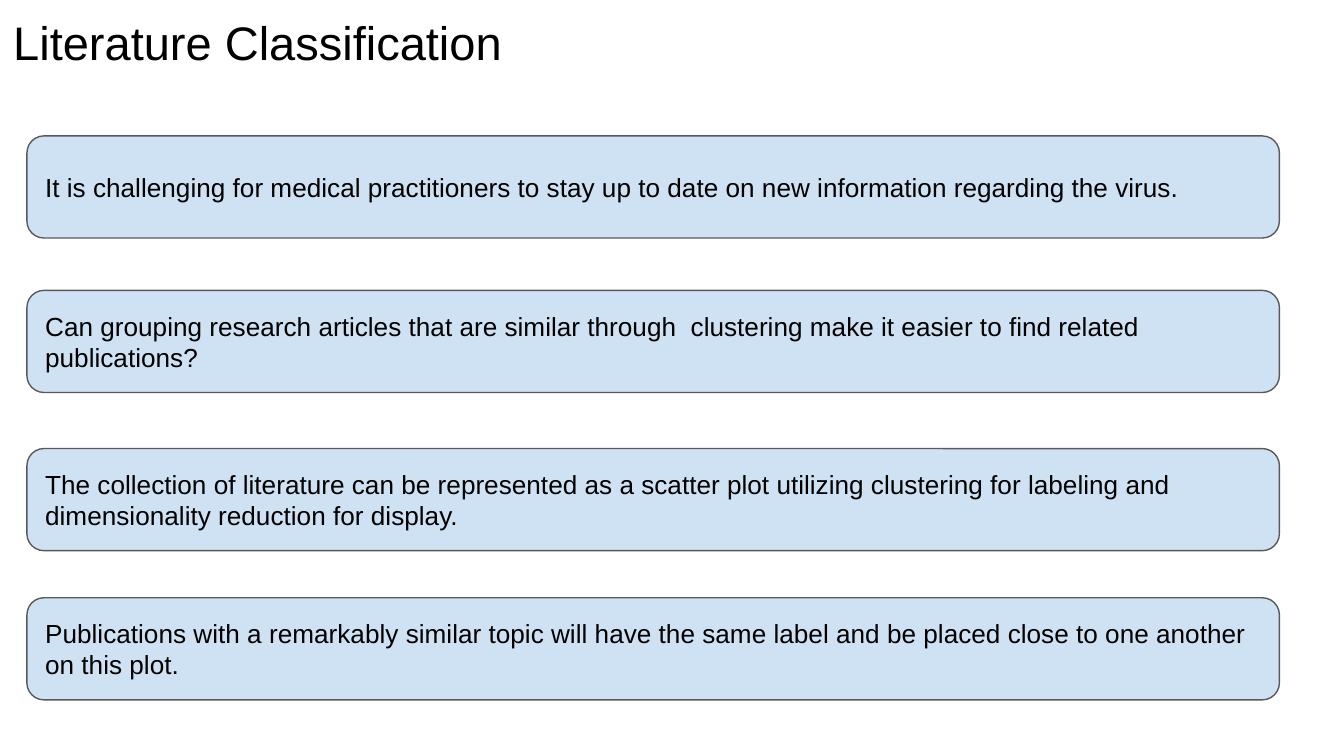
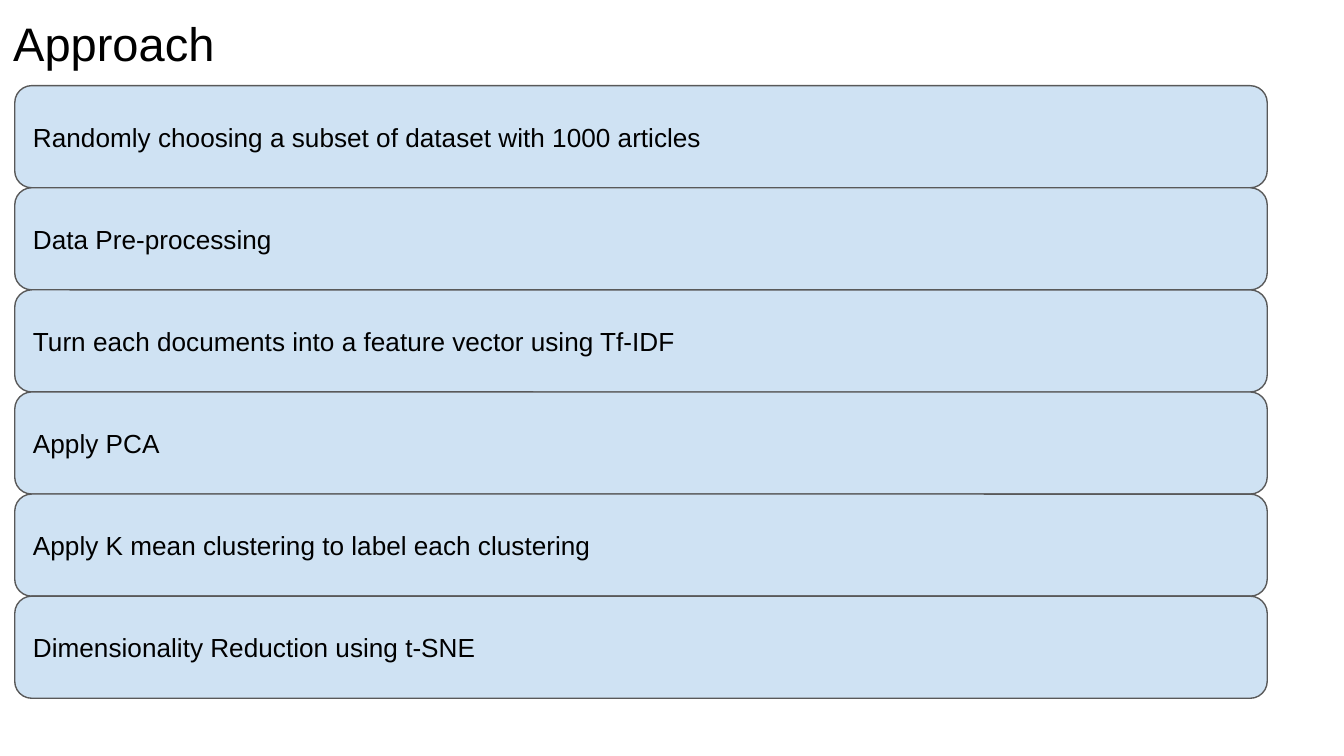
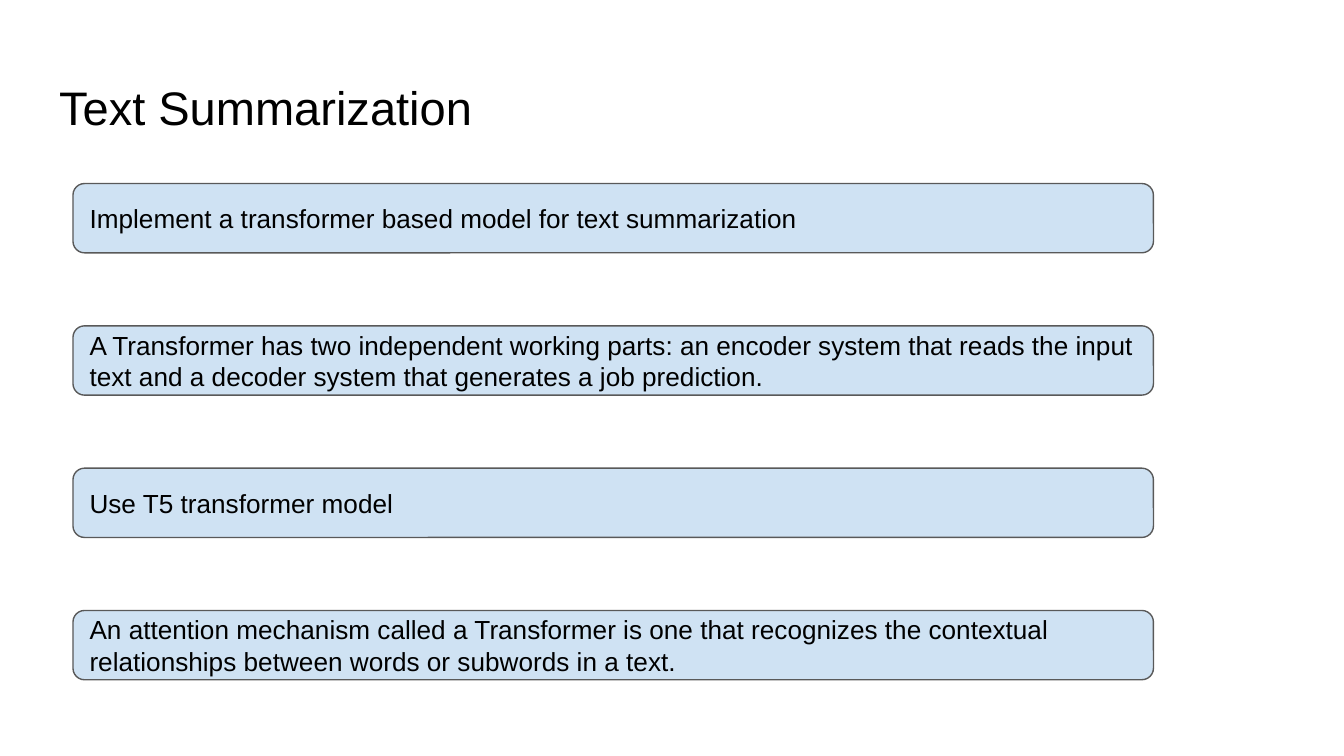
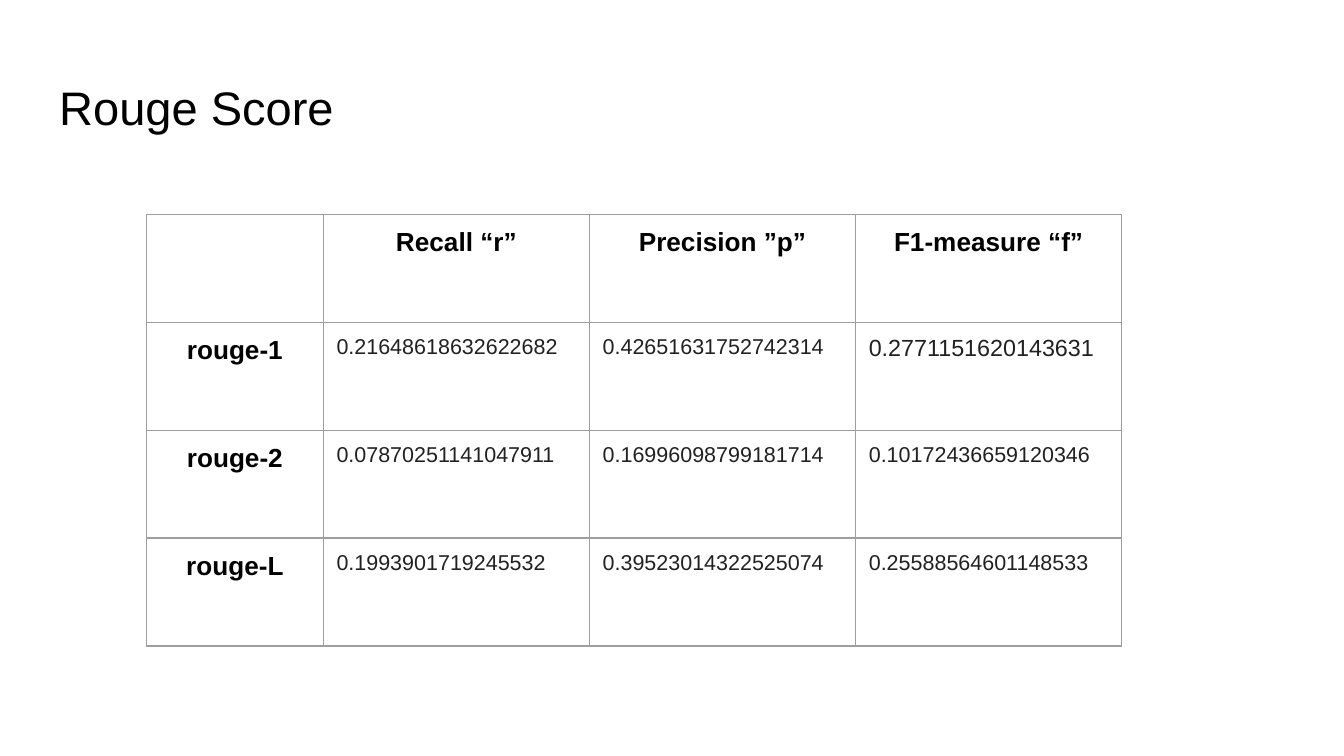
from dataclasses import dataclass

from lxml import etree
from pptx import Presentation, dml, util as u
from pptx.dml import color
from pptx.enum import shapes, text
from pptx.oxml import ns

RGB = color.RGBColor.from_string
KIND = shapes.MSO_SHAPE.ROUNDED_RECTANGLE
MID = text.MSO_ANCHOR.MIDDLE
TOP = text.MSO_ANCHOR.TOP
LEFT, CENTER, JUST = (
    text.PP_ALIGN.LEFT, text.PP_ALIGN.CENTER, text.PP_ALIGN.JUSTIFY)

CARDS = [
    {
        "title": "Literature Classification", "at": (0, 0),
        "left": 0.51, "size": (23.67, 1.93), "tops": [2.57, 5.49, 8.48, 11.3],
        "items": [
            "It is challenging for medical practitioners to stay up to date on new information regarding the virus.",
            "Can grouping research articles that are similar through  clustering make it easier to find related publications?",
            "The collection of literature can be represented as a scatter plot utilizing clustering for labeling and dimensionality reduction for display.",
            "Publications with a remarkably similar topic will have the same label and be placed close to one another on this plot.",
        ],
    },
    {
        "title": "Approach", "at": (0, 0.03),
        "left": 0.28, "size": (23.67, 1.93), "first": 1.62, "pitch": 1.93,
        "items": [
            "Randomly choosing a subset of dataset with 1000 articles",
            "Data Pre-processing",
            "Turn each documents into a feature vector using Tf-IDF",
            "Apply PCA",
            "Apply K mean clustering to label each clustering",
            "Dimensionality Reduction using t-SNE",
        ],
    },
    {
        "title": "Text Summarization", "at": (0.87, 1.24),
        "left": 1.38, "size": (20.42, 1.31), "first": 3.47, "pitch": 2.69,
        "items": [
            "Implement a transformer based model for text summarization",
            "A Transformer has two independent working parts: an encoder system that reads the input text and a decoder system that generates a job prediction.",
            "Use T5 transformer model",
            "An attention mechanism called a Transformer is one that recognizes the contextual relationships between words or subwords in a text.",
        ],
    },
]

SCORE = {
    "title": "Rouge Score", "at": (0.87, 1.24),
    "left": 2.77, "top": 4.05, "cols": [3.34, 5.03, 5.03, 5.03], "row": 2.04,
    "rows": [
        ("", "Recall “r”", "Precision ”p”", "F1-measure “f”"),
        ("rouge-1", "0.21648618632622682", "0.42651631752742314", "0.2771151620143631"),
        ("rouge-2", "0.07870251141047911", "0.16996098799181714", "0.10172436659120346"),
        ("rouge-L", "0.1993901719245532", "0.39523014322525074", "0.25588564601148533"),
    ],
    "large": (1, 3),
}


@dataclass(frozen=True)
class Theme:
    font: str = "Arial"
    ink: str = "000000"
    value: str = "212121"
    fill: str = "CFE2F3"
    edge: str = "595959"
    grid: str = "9E9E9E"
    head: float = 25.2
    body: float = 14
    small: float = 11.5
    large: float = 12.5
    line: float = 0.75
    pad: float = 0.25


T = Theme()


def write(frame, words, size, ink=T.ink, bold=False, align=LEFT):
    para = frame.paragraphs[0]
    para.alignment = align
    run = para.add_run()
    run.text = words
    run.font.name = T.font
    run.font.size = u.Pt(size)
    run.font.bold = bold
    run.font.color.rgb = RGB(ink)


def pad(part):
    part.margin_left = part.margin_right = u.Cm(T.pad)
    part.margin_top = part.margin_bottom = u.Cm(T.pad)


def setup(frame, anchor):
    frame.word_wrap = True
    frame.vertical_anchor = anchor
    pad(frame)


def start(deck, data):
    slide = deck.slides.add_slide(deck.slide_layouts[6])
    left, top = data["at"]
    box = slide.shapes.add_textbox(
        u.Cm(left), u.Cm(top), u.Cm(23.67), u.Cm(1.6))
    setup(box.text_frame, TOP)
    write(box.text_frame, data["title"], T.head)
    return slide


def add_cards(deck, data):
    slide = start(deck, data)
    items = data["items"]
    tops = data.get("tops") or [
        data["first"] + i * data["pitch"] for i in range(len(items))]
    wide, high = data["size"]
    for words, top in zip(items, tops):
        card = slide.shapes.add_shape(
            KIND, u.Cm(data["left"]), u.Cm(top), u.Cm(wide), u.Cm(high))
        card.shadow.inherit = False
        card.fill.solid()
        card.fill.fore_color.rgb = RGB(T.fill)
        card.line.color.rgb = RGB(T.edge)
        card.line.width = u.Pt(T.line)
        setup(card.text_frame, MID)
        write(card.text_frame, words, T.body)


def border(cell):
    props = cell._tc.get_or_add_tcPr()
    for i, side in enumerate(("lnL", "lnR", "lnT", "lnB")):
        line = etree.Element(ns.qn("a:" + side), w=str(u.Pt(T.line)))
        fill = etree.SubElement(line, ns.qn("a:solidFill"))
        etree.SubElement(fill, ns.qn("a:srgbClr"), val=T.grid)
        props.insert(i, line)


def add_score(deck, data):
    slide = start(deck, data)
    rows, cols = data["rows"], data["cols"]
    grid = slide.shapes.add_table(
        len(rows), len(cols), u.Cm(data["left"]), u.Cm(data["top"]),
        u.Cm(sum(cols)), u.Cm(data["row"] * len(rows))).table
    grid.first_row = grid.horz_banding = False
    for col, wide in zip(grid.columns, cols):
        col.width = u.Cm(wide)
    for r, row in enumerate(rows):
        grid.rows[r].height = u.Cm(data["row"])
        for c, words in enumerate(row):
            cell = grid.cell(r, c)
            cell.fill.background()
            border(cell)
            pad(cell)
            if not words:
                continue
            if r == 0 or c == 0:
                write(cell.text_frame, words, T.body, bold=True, align=CENTER)
            else:
                size = T.large if (r, c) == data["large"] else T.small
                write(cell.text_frame, words, size, T.value, align=JUST)


def main():
    deck = Presentation()
    deck.slide_width, deck.slide_height = u.Cm(25.4), u.Cm(14.29)
    for data in CARDS:
        add_cards(deck, data)
    add_score(deck, SCORE)
    deck.save("out.pptx")


if __name__ == "__main__":
    main()
